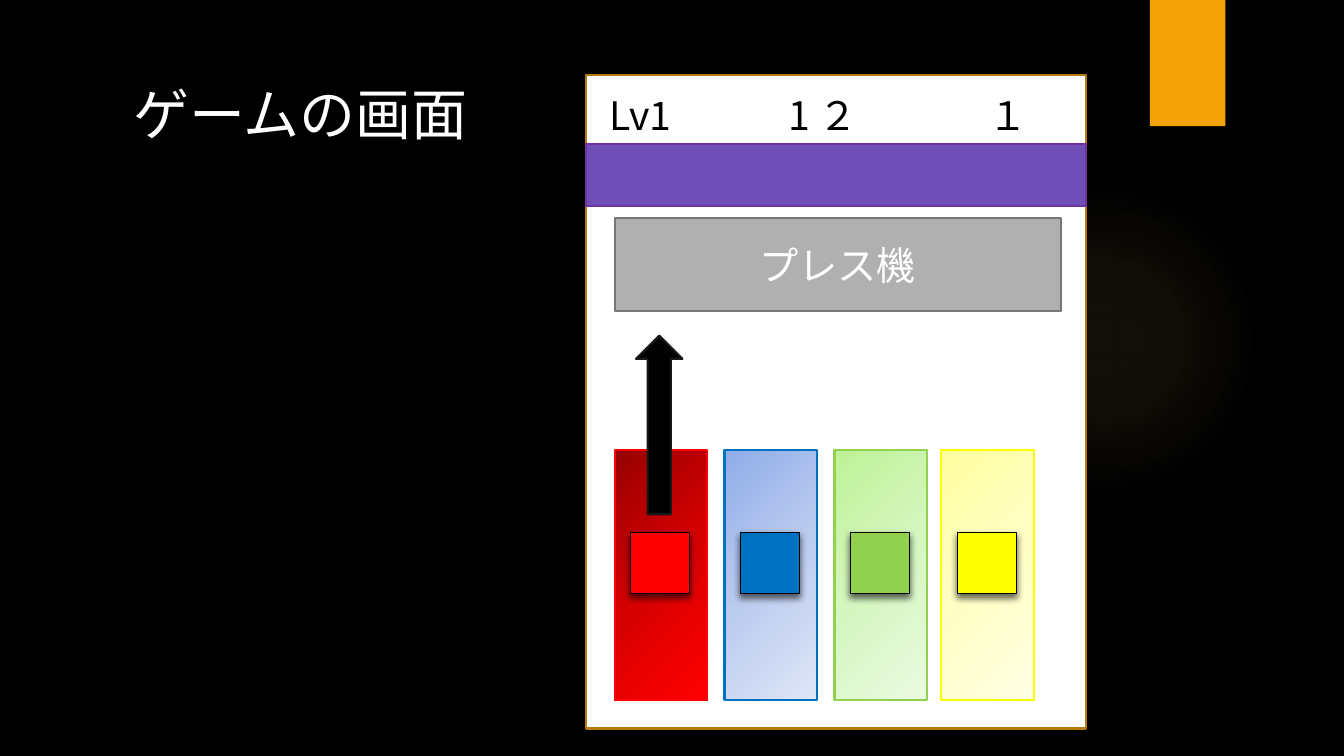
import pptx
import pptx.util
import pptx.dml.color
import pptx.enum.shapes
import pptx.enum.text
import pptx.oxml
import pptx.oxml.ns

Cm = pptx.util.Cm
Pt = pptx.util.Pt
RGB = pptx.dml.color.RGBColor
Kind = pptx.enum.shapes.MSO_SHAPE
Align = pptx.enum.text.PP_ALIGN
Anchor = pptx.enum.text.MSO_ANCHOR

BLACK = RGB(0x00, 0x00, 0x00)
WHITE = RGB(0xFF, 0xFF, 0xFF)
AMBER = RGB(0xF5, 0xA4, 0x08)
BROWN = RGB(0xB5, 0x79, 0x06)
GLOW = RGB(0xFA, 0xC9, 0x6A)
GRAY = RGB(0xB0, 0xB0, 0xB0)
STEEL = RGB(0x76, 0x76, 0x76)
COAL = RGB(0x18, 0x18, 0x18)
VIOLET = RGB(0x6F, 0x4E, 0xB7)
PURPLE = RGB(0x70, 0x30, 0xA0)
RED = RGB(0xFF, 0x00, 0x00)
BLUE = RGB(0x00, 0x70, 0xC0)
GREEN = RGB(0x92, 0xD0, 0x50)
YELLOW = RGB(0xFF, 0xFF, 0x00)
REDS = RGB(0x97, 0x00, 0x00), RGB(0xD7, 0x00, 0x00), RED
BLUES = RGB(0x8F, 0xAD, 0xE9), RGB(0xBC, 0xCC, 0xEF), RGB(0xDE, 0xE6, 0xF7)
GREENS = RGB(0xBE, 0xF2, 0x97), RGB(0xD5, 0xF6, 0xC0), RGB(0xEA, 0xFA, 0xE0)
YELLOWS = RGB(0xFF, 0xFF, 0xA0), RGB(0xFF, 0xFF, 0xC5), RGB(0xFF, 0xFF, 0xE3)

deck = pptx.Presentation()
deck.slide_width = Cm(33.87)
deck.slide_height = Cm(19.05)
slide = deck.slides.add_slide(deck.slide_layouts[5])
slide.background.fill.solid()
slide.background.fill.fore_color.rgb = BLACK


def draw(kind, box, fill, line=None, width=1.5, shadow=None):
    shape = slide.shapes.add_shape(kind, *map(Cm, box))
    shape.shadow.inherit = False
    if fill:
        shape.fill.solid()
        shape.fill.fore_color.rgb = fill
    else:
        shape.fill.background()
    if line is None:
        shape.line.fill.background()
    else:
        shape.line.color.rgb = line
        shape.line.width = Pt(width)
    if shadow:
        alpha, blur, gap = shadow
        shape.element.spPr.find(pptx.oxml.ns.qn("a:effectLst")).append(pptx.oxml.parse_xml(
            f'<a:outerShdw {pptx.oxml.ns.nsdecls("a")} blurRad="{Pt(blur)}" dist="{Pt(gap)}" '
            f'dir="5400000" rotWithShape="0"><a:srgbClr val="{BLACK}">'
            f'<a:alpha val="{alpha * 1000}"/></a:srgbClr></a:outerShdw>'))
    return shape


def blend(shape, stops, shade):
    marks = "".join(
        f'<a:gs pos="{pos * 1000}"><a:srgbClr val="{color}">'
        f'<a:alpha val="{alpha * 1000}"/></a:srgbClr></a:gs>'
        for pos, color, alpha in stops)
    props = shape.element.spPr
    props.replace(props.find(pptx.oxml.ns.qn("a:noFill")), pptx.oxml.parse_xml(
        f'<a:gradFill {pptx.oxml.ns.nsdecls("a")} rotWithShape="1">'
        f'<a:gsLst>{marks}</a:gsLst>{shade}</a:gradFill>'))


glow = draw(Kind.OVAL, (23.9, 4.65, 7.82, 7.82), None)
blend(glow, [(0, GLOW, 7), (36, GLOW, 6), (69, GLOW, 0)],
      '<a:path path="circle"><a:fillToRect l="50000" t="50000" r="50000" b="50000"/></a:path>')
draw(Kind.RECTANGLE, (28.98, 0, 1.9, 3.18), AMBER, shadow=(45, 3, 2))

title = slide.shapes.title
title.left, title.top, title.width, title.height = map(Cm, (3.1, 1.88, 9.07, 1.96))
title.text_frame.text = "ゲームの画面"
title.text_frame.auto_size = pptx.enum.text.MSO_AUTO_SIZE.NONE
title.text_frame.vertical_anchor = Anchor.TOP
head = title.text_frame.paragraphs[0]
head.alignment = Align.LEFT
head.font.name = "Quicksand"
head.font.size = Pt(40)
head.font.color.rgb = WHITE

draw(Kind.RECTANGLE, (14.78, 1.88, 12.6, 16.48), WHITE, BROWN)

lanes = [(15.49, RED, REDS), (18.26, BLUE, BLUES), (21.03, GREEN, GREENS), (23.72, YELLOW, YELLOWS)]
for left, color, tones in lanes:
    lane = draw(Kind.RECTANGLE, (left, 11.35, 2.34, 6.3), None, color)
    blend(lane, [(50 * step, tone, 100) for step, tone in enumerate(tones)],
          '<a:lin ang="2700000" scaled="0"/>')
for left, color, tones in lanes:
    draw(Kind.RECTANGLE, (left + 0.4, 13.41, 1.5, 1.55), color, BLACK, 0.75, (60, 5, 3))

press = draw(Kind.RECTANGLE, (15.49, 5.49, 11.25, 2.36), GRAY, STEEL)
press.text_frame.text = "プレス機"
press.text_frame.vertical_anchor = Anchor.MIDDLE
name = press.text_frame.paragraphs[0]
name.alignment = Align.CENTER
name.font.name = "Quicksand"
name.font.size = Pt(28)
name.font.color.rgb = WHITE

draw(Kind.UP_ARROW, (16.03, 8.46, 1.17, 4.5), BLACK, COAL)

for left, width, text in [(15.11, 2.24, "Lv1"), (19.61, 2.72, "1 ２"), (24.66, 2.08, "１")]:
    label = slide.shapes.add_textbox(Cm(left), Cm(2.18), Cm(width), Cm(1.45))
    label.text_frame.word_wrap = True
    label.text_frame.text = text
    line = label.text_frame.paragraphs[0]
    line.font.name = "Noto Sans CJK JP"
    line.font.size = Pt(28)
    line.font.color.rgb = BLACK

draw(Kind.RECTANGLE, (14.78, 3.63, 12.6, 1.57), VIOLET, PURPLE)

deck.save("out.pptx")
